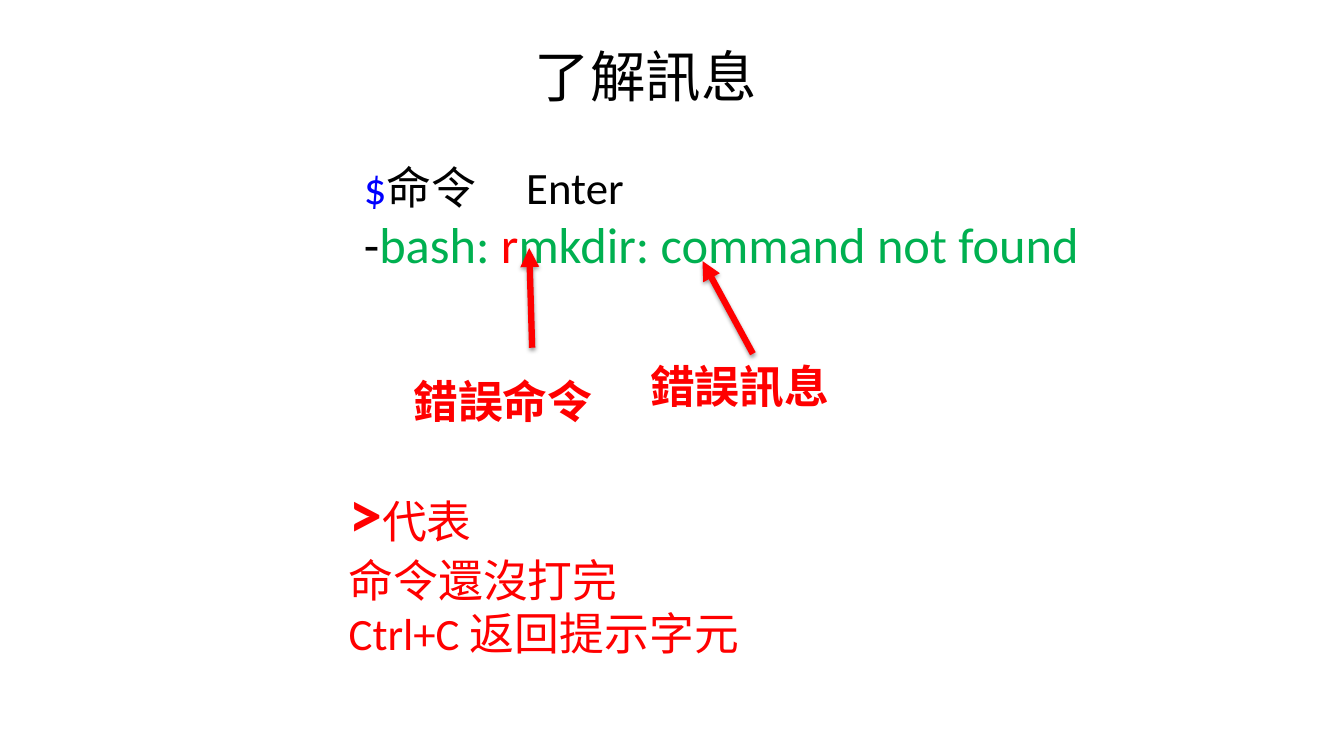
from lxml import etree
from pptx import Presentation
from pptx.dml.color import RGBColor
from pptx.enum.shapes import MSO_CONNECTOR
from pptx.enum.text import MSO_ANCHOR, MSO_AUTO_SIZE, PP_ALIGN
from pptx.oxml.ns import qn
from pptx.util import Pt

STRAIGHT = MSO_CONNECTOR.STRAIGHT
MIDDLE = MSO_ANCHOR.MIDDLE
GROW = MSO_AUTO_SIZE.SHAPE_TO_FIT_TEXT
CENTER = PP_ALIGN.CENTER

COLORS = {"ink": "000000", "prompt": "0000FF", "good": "00B050", "error": "FF0000"}
FONT = "Calibri"
NARROW = "Arial Narrow"
UNIT = 12700  # drawing units per point


def add_text(slide, box, lines, inset=3.6, wrap=True, font=FONT):
    """Place lines of (text, size, color, bold) runs in a text box."""
    frame = slide.shapes.add_textbox(*map(Pt, box)).text_frame
    frame.word_wrap = wrap
    frame.auto_size = GROW
    frame.margin_left = frame.margin_right = Pt(inset)
    frame.margin_top = frame.margin_bottom = Pt(3.6)
    for i, line in enumerate(lines):
        para = frame.add_paragraph() if i else frame.paragraphs[0]
        for text, size, color, bold in line:
            run = para.add_run()
            run.text = text
            run.font.name = font
            run.font.size = Pt(size)
            run.font.bold = bold
            run.font.color.rgb = RGBColor.from_string(COLORS[color])
    return frame


def add_tab(para, pos):
    tabs = etree.SubElement(para._p.get_or_add_pPr(), qn("a:tabLst"))
    etree.SubElement(tabs, qn("a:tab"), pos=str(pos * UNIT), algn="l")


def add_arrow(slide, start, end):
    """Draw a red arrow with a soft shadow below it."""
    line = slide.shapes.add_connector(STRAIGHT, *map(Pt, start + end))
    line.line.width = Pt(4.5)
    line.line.color.rgb = RGBColor.from_string(COLORS["error"])
    props = line._element.spPr
    etree.SubElement(props.find(qn("a:ln")), qn("a:tailEnd"), type="triangle")
    effects = etree.SubElement(props, qn("a:effectLst"))
    shade = etree.SubElement(
        effects, qn("a:outerShdw"), blurRad=str(3 * UNIT),
        dist=str(int(1.6 * UNIT)), dir="5400000", rotWithShape="0")
    color = etree.SubElement(shade, qn("a:srgbClr"), val=COLORS["ink"])
    etree.SubElement(color, qn("a:alpha"), val="38000")


def add_title(slide, box):
    frame = add_text(slide, box, [[("了解訊息", 39.6, "ink", False)]], inset=7.2)
    frame.auto_size = MSO_AUTO_SIZE.NONE
    frame.vertical_anchor = MIDDLE
    frame.paragraphs[0].alignment = CENTER
    frame.paragraphs[0].line_spacing = 0.9


def add_shell(slide, box):
    """Show the failed command, with its two parts pointed out below."""
    left, top, width, height = box
    frame = add_text(slide, (left, top, width, 118.8), [
        [("$", 32, "prompt", False), ("命令\tEnter", 32, "ink", False)],
        [("-", 36, "ink", False), ("bash: ", 36, "good", False),
         ("r", 36, "error", False),
         ("mkdir: command not found", 36, "good", False)],
    ])
    add_tab(frame.paragraphs[0], 116)
    labels = [
        ("錯誤訊息", (204.5, 142.5, 136.8, 46), False, FONT,
         (281.5, 142.5), (245.5, 76.3)),
        ("錯誤命令", (35.3, 153.4, 184.3, 46), True, NARROW,
         (123.8, 138.2), (121.7, 67)),
    ]
    for text, (x, y, w, h), wrap, font, start, end in labels:
        add_arrow(slide, (left + start[0], top + start[1]),
                  (left + end[0], top + end[1]))
        add_text(slide, (left + x, top + y, w, h),
                 [[(text, 32, "error", True)]], wrap=wrap, font=font)


def add_hint(slide, box):
    add_text(slide, box, [
        [(">", 48, "error", True), ("代表", 32, "error", False)],
        [("命令還沒打完", 32, "error", False)],
        [("Ctrl+C 返回提示字元", 32, "error", False)],
    ], inset=7.2)


def main():
    deck = Presentation()
    deck.slide_width, deck.slide_height = Pt(960), Pt(540)
    slide = deck.slides.add_slide(deck.slide_layouts[6])
    add_title(slide, (170, 33, 582.5, 48.2))
    add_hint(slide, (242, 333.4, 360, 143.3))
    add_shell(slide, (256.3, 110.2, 544.3, 199.4))
    deck.save("out.pptx")


if __name__ == "__main__":
    main()
